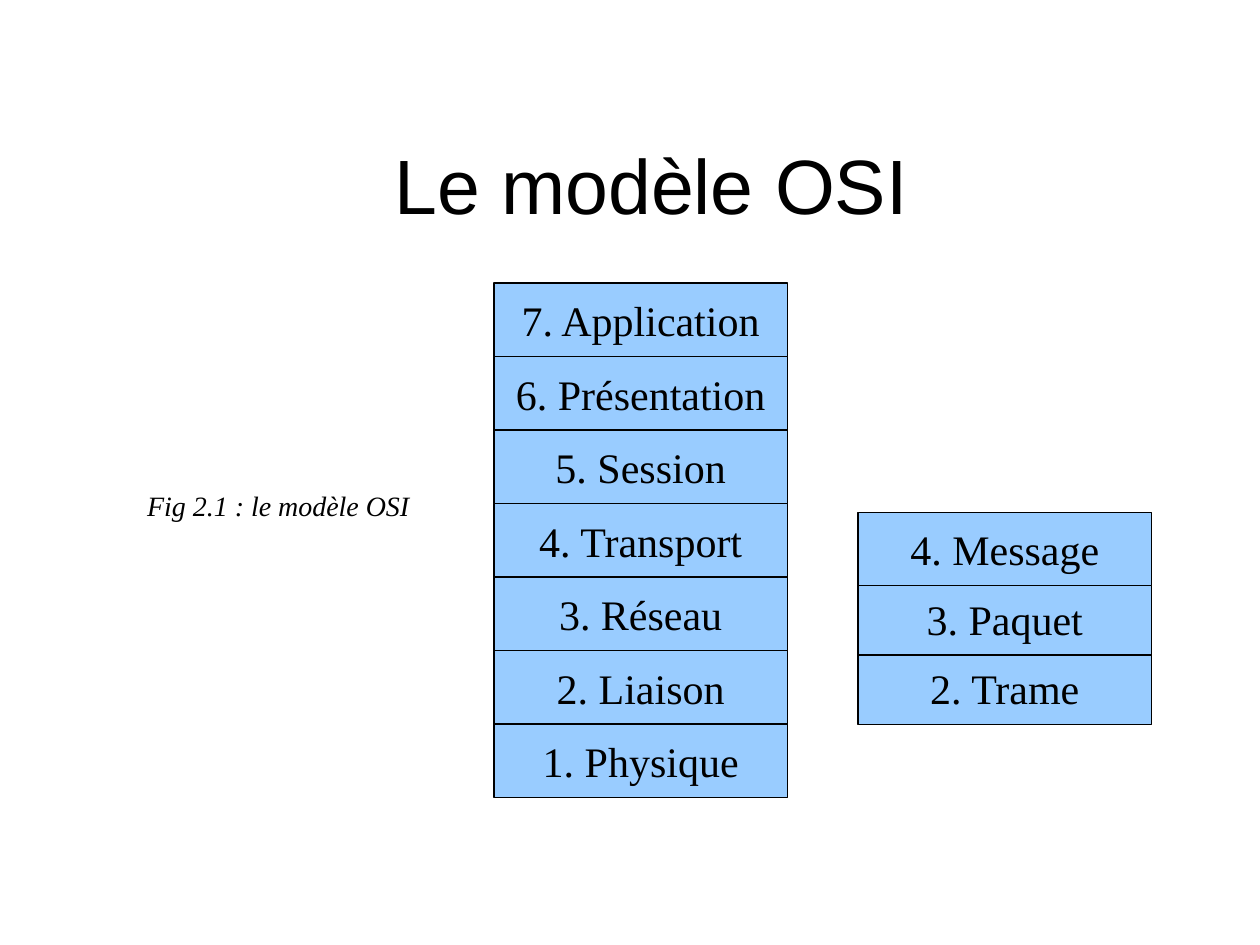
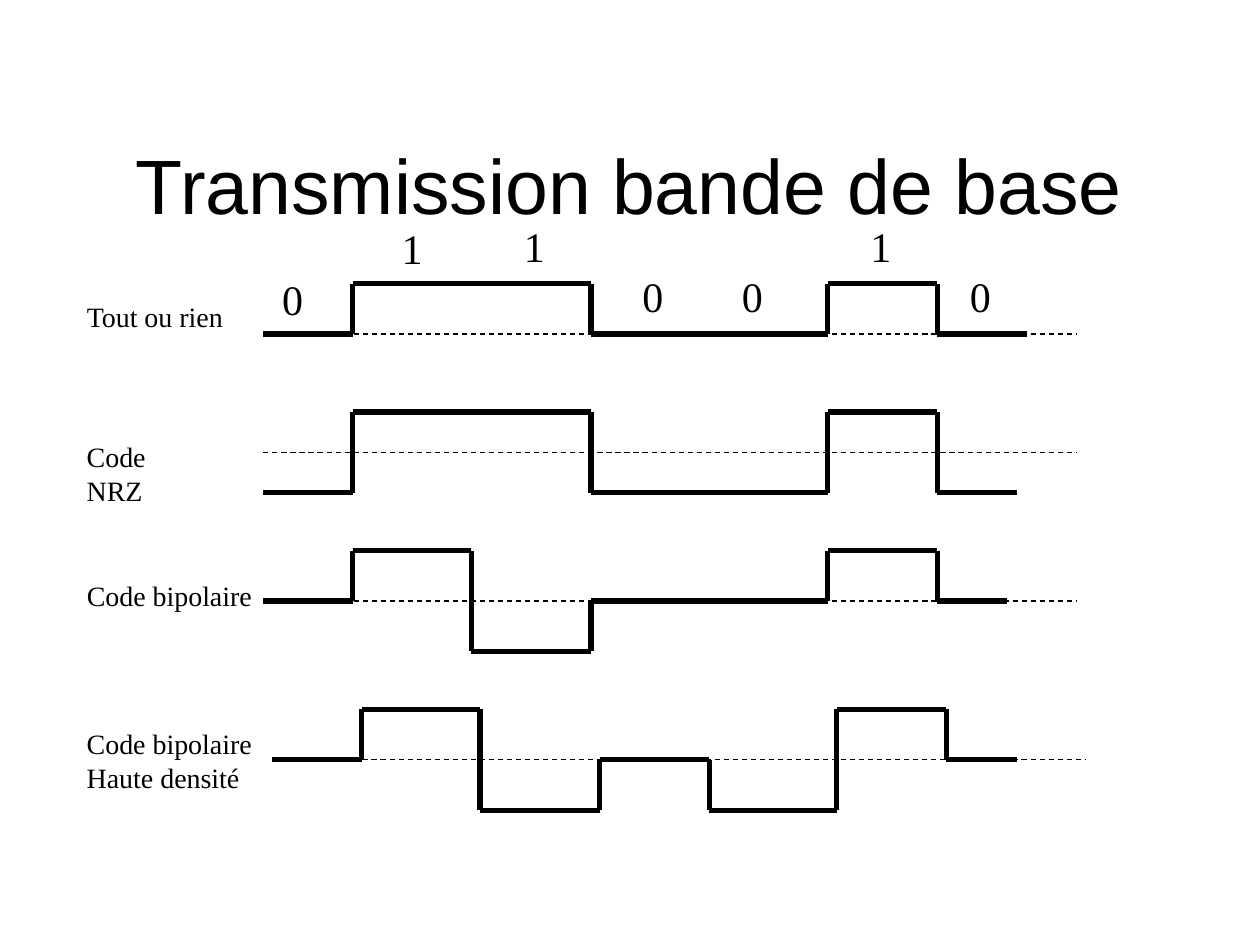
from pptx import Presentation
from pptx.dml.color import RGBColor
from pptx.enum.dml import MSO_LINE
from pptx.enum.shapes import MSO_CONNECTOR, MSO_SHAPE
from pptx.enum.text import MSO_ANCHOR, MSO_AUTO_SIZE, PP_ALIGN
from pptx.oxml.ns import qn
from pptx.util import Inches, Pt

# Shared look
INK, SKY = "000000", "99CCFF"
SANS, SERIF = "Arial", "Times New Roman"

# Where each bit ends, measured from the start of a wave
EDGES = [0.71, 1.65, 2.6, 3.47, 4.48, 5.35]


def color(code):
    return RGBColor.from_string(code)


def style(frame, size, face=SERIF, align=PP_ALIGN.LEFT, italic=False):
    for para in frame.paragraphs:
        para.alignment = align
        for run in para.runs:
            font = run.font
            font.size, font.name, font.italic = Pt(size), face, italic
            font.color.rgb = color(INK)


def title(slide, text, box):
    head = slide.shapes.title
    head.left, head.top, head.width, head.height = map(Inches, box)
    frame = head.text_frame
    frame.text = text
    frame.auto_size = MSO_AUTO_SIZE.NONE
    frame.vertical_anchor = MSO_ANCHOR.MIDDLE
    style(frame, 44, SANS, PP_ALIGN.CENTER)


def label(slide, text, box, size=16, italic=False):
    frame = slide.shapes.add_textbox(*map(Inches, box)).text_frame
    frame.text = text
    frame.word_wrap = False
    style(frame, size, italic=italic)


def line(slide, x1, y1, x2, y2, width, dash=None):
    link = slide.shapes.add_connector(
        MSO_CONNECTOR.STRAIGHT, *map(Inches, (x1, y1, x2, y2)))
    link.line.color.rgb = color(INK)
    link.line.width = Pt(width)
    if dash:
        link.line.dash_style = dash
    props = link._element.spPr
    props.append(props.makeelement(qn("a:effectLst"), {}))


def layer(slide, text, box):
    tile = slide.shapes.add_shape(MSO_SHAPE.RECTANGLE, *map(Inches, box))
    tile.shadow.inherit = False
    tile.fill.solid()
    tile.fill.fore_color.rgb = color(SKY)
    tile.line.color.rgb = color(INK)
    tile.line.width = Pt(0.75)
    frame = tile.text_frame
    frame.text = text
    frame.vertical_anchor = MSO_ANCHOR.MIDDLE
    style(frame, 24, align=PP_ALIGN.CENTER)


def stack(slide, names, left, base, pitch):
    """Pile layers upwards, the first one resting on base."""
    high = 3.5 / 6
    for i, name in enumerate(names):
        layer(slide, name, (left, base - high - i * pitch, 2.33, high))


def wave(slide, left, base, swing, levels, end):
    """Draw the dashed axis, then the signal as flat parts and jumps."""
    line(slide, left, base, left + 6.46, base, 0.75, MSO_LINE.DASH)
    start = left
    for i, edge in enumerate(EDGES + [end]):
        stop, y = left + edge, base - swing * levels[i]
        last = i == len(EDGES)
        if not last and levels[i + 1] == levels[i]:
            continue
        line(slide, start, y, stop, y, 3)
        if not last:
            line(slide, stop, y, stop, base - swing * levels[i + 1], 3)
        start = stop


def model(slide):
    title(slide, "Le modèle OSI", (0.92, 0.83, 8.5, 1.25))
    stack(slide, ["1. Physique", "2. Liaison", "3. Réseau", "4. Transport",
                  "5. Session", "6. Présentation", "7. Application"],
          3.92, 6.33, 3.5 / 6)
    # Data units of layers 2 to 4
    stack(slide, ["2. Trame", "3. Paquet", "4. Message"], 6.81, 5.75, 0.55)
    label(slide, "Fig 2.1 : le modèle OSI", (1.07, 3.83, 2.28, 0.37),
          italic=True)


def codes(slide):
    title(slide, "Transmission bande de base", (0.58, 0.66, 8.83, 1.59))
    # Signals, one level per bit
    wave(slide, 2.09, 2.65, 0.4, (0, 1, 1, 0, 0, 1, 0), 6.06)
    wave(slide, 2.09, 3.59, 0.32, (-1, 1, 1, -1, -1, 1, -1), 5.98)
    wave(slide, 2.09, 4.77, 0.4, (0, 1, -1, 0, 0, 1, 0), 5.9)
    wave(slide, 2.16, 6.03, 0.4, (0, 1, -1, 0, -1, 1, 0), 5.91)
    # Bits above the first signal
    for bit, x, y in [("0", 2.14, 2.12), ("1", 3.09, 1.72), ("1", 4.06, 1.7),
                      ("0", 5, 2.1), ("0", 5.79, 2.1), ("1", 6.81, 1.7),
                      ("0", 7.6, 2.1)]:
        label(slide, bit, (x, y, 0.36, 0.5), 24)
    # Names of the codes
    for name, y, wide, high in [
            ("Tout ou rien", 2.33, 1.29, 0.37),
            ("Code NRZ", 3.44, 1.16, 0.37),
            ("Code bipolaire", 4.54, 1.51, 0.37),
            ("Code bipolaire\nHaute densité", 5.72, 1.56, 0.64)]:
        label(slide, name, (0.59, y, wide, high))


def main():
    deck = Presentation()
    deck.slide_width, deck.slide_height = Inches(10), Inches(7.5)
    for build in (model, codes):
        build(deck.slides.add_slide(deck.slide_layouts[5]))
    deck.save("out.pptx")


if __name__ == "__main__":
    main()
